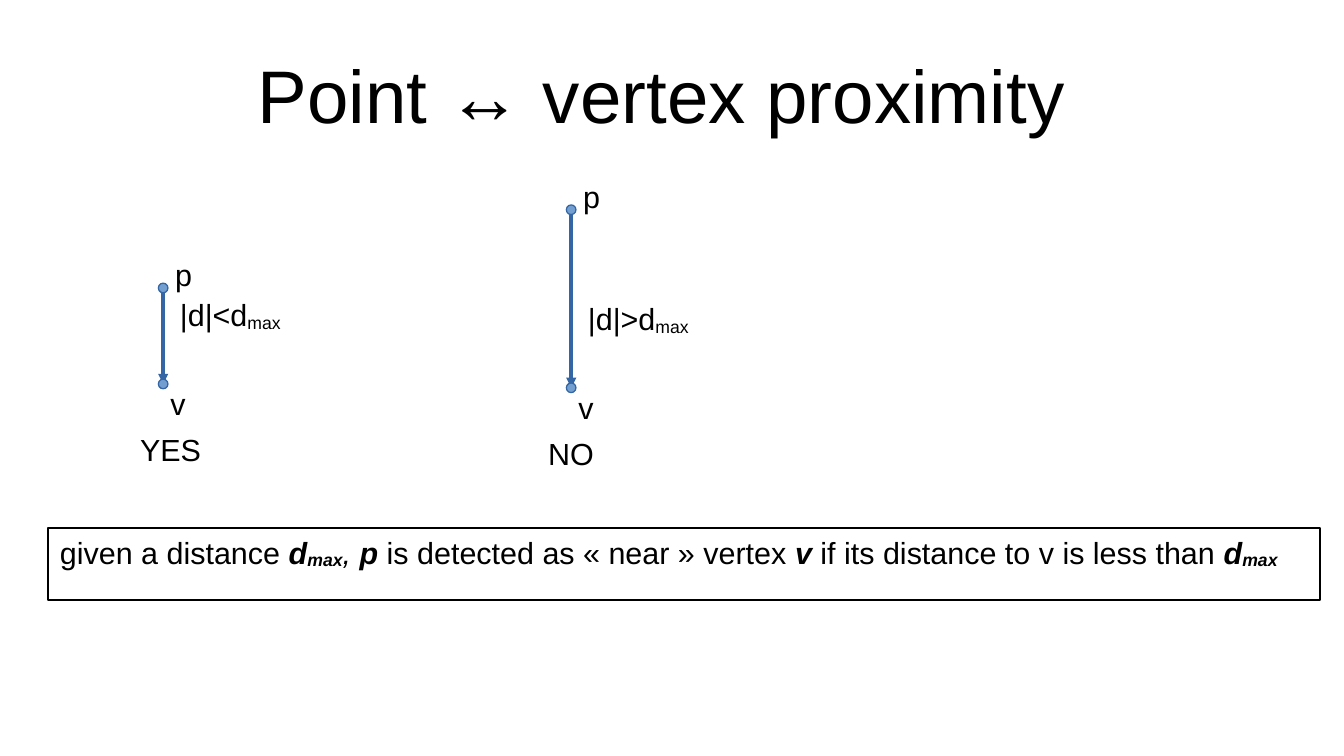
from dataclasses import dataclass

from lxml import etree
from pptx import Presentation
from pptx.dml.color import RGBColor
from pptx.enum.shapes import MSO_CONNECTOR, MSO_SHAPE
from pptx.enum.text import MSO_ANCHOR, MSO_AUTO_SIZE, PP_ALIGN
from pptx.oxml.ns import qn
from pptx.util import Cm, Pt

LINE = MSO_CONNECTOR.STRAIGHT
DOT = MSO_SHAPE.OVAL
RECT = MSO_SHAPE.RECTANGLE
TOP = MSO_ANCHOR.TOP
MIDDLE = MSO_ANCHOR.MIDDLE
LEFT = PP_ALIGN.LEFT
CENTER = PP_ALIGN.CENTER
NO_FIT = MSO_AUTO_SIZE.NONE


@dataclass(frozen=True)
class Theme:
    font: str = "Arial"
    ink: RGBColor = RGBColor(0, 0, 0)
    edge: RGBColor = RGBColor(0x34, 0x65, 0xA4)
    fill: RGBColor = RGBColor(0x72, 0x9F, 0xCF)
    title: Pt = Pt(44)
    body: Pt = Pt(18)
    hair: Pt = Pt(0)


THEME = Theme()


def place(x, y, w, h):
    return Cm(x), Cm(y), Cm(w), Cm(h)


def write(frame, runs, size=THEME.body, align=LEFT, anchor=TOP, wrap=True):
    frame.auto_size = NO_FIT
    frame.word_wrap = wrap
    frame.vertical_anchor = anchor
    para = frame.paragraphs[0]
    para.alignment = align
    for text, style in runs:
        run = para.add_run()
        run.text = text
        font = run.font
        font.name, font.size = THEME.font, size
        font.color.rgb = THEME.ink
        font.bold = "b" in style
        font.italic = "i" in style
        if "s" in style:
            run._r.get_or_add_rPr().set("baseline", "-8000")


def add_title(slide, text):
    title = slide.shapes.title
    title.left, title.top, title.width, title.height = place(1.4, 0.63, 25.2, 2.63)
    frame = title.text_frame
    frame.margin_left = frame.margin_right = 0
    frame.margin_top = frame.margin_bottom = 0
    write(frame, [(text, "")], THEME.title, CENTER, MIDDLE)


def add_label(slide, x, y, w, runs, wrap=False):
    box = slide.shapes.add_textbox(*place(x, y, w, 0.97))
    write(box.text_frame, runs, wrap=wrap)


def add_dot(slide, x, y, size=0.2):
    dot = slide.shapes.add_shape(DOT, *place(x - size / 2, y - size / 2, size, size))
    dot.shadow.inherit = False
    dot.fill.solid()
    dot.fill.fore_color.rgb = THEME.fill
    dot.line.color.rgb = THEME.edge
    dot.line.width = THEME.hair


def add_arrow(slide, x, top, end):
    arrow = slide.shapes.add_connector(LINE, Cm(x), Cm(top), Cm(x), Cm(end))
    arrow.line.color.rgb = THEME.edge
    arrow.line.width = THEME.hair
    etree.SubElement(arrow.line._get_or_add_ln(), qn("a:tailEnd"), type="triangle")
    etree.SubElement(arrow._element.spPr, qn("a:effectLst"))


def add_case(slide, x, top, end, sign, reply, width):
    add_arrow(slide, x, top + 0.07, end)
    add_label(slide, x, top - 0.79, 0.86, [("p", "")])
    add_label(slide, x - 0.1, end - 0.1, 1, [("v", "")])
    add_dot(slide, x, top)
    add_dot(slide, x, end)
    add_label(slide, x + 0.1, end - 1.95, 3.5,
              [(f"|d|{sign}d", ""), ("max", "s")], wrap=True)
    add_label(slide, x - 0.73, end + 0.86, width, [(reply, "")])


def add_rule(slide, runs):
    box = slide.shapes.add_shape(RECT, *place(1, 11, 26.5, 1.5))
    box.shadow.inherit = False
    box.fill.background()
    box.line.color.rgb = THEME.ink
    box.line.width = THEME.hair
    write(box.text_frame, runs)


def main():
    deck = Presentation()
    deck.slide_width, deck.slide_height = Cm(28), Cm(15.75)
    slide = deck.slides.add_slide(deck.slide_layouts[5])
    add_title(slide, "Point ↔ vertex proximity ")
    add_case(slide, 3.4, 6, 8, "<", "YES", 1.78)
    add_case(slide, 11.9, 4.37, 8.08, ">", "NO", 1.63)
    limit = [("d", "bi"), ("max", "bis")]
    add_rule(slide, [
        ("given a distance ", ""),
        *limit,
        (", ", "i"),
        ("p", "bi"),
        (" is detected as « near » vertex ", ""),
        ("v", "bi"),
        (" if its distance to v is less than ", ""),
        *limit,
    ])
    deck.save("out.pptx")


if __name__ == "__main__":
    main()
